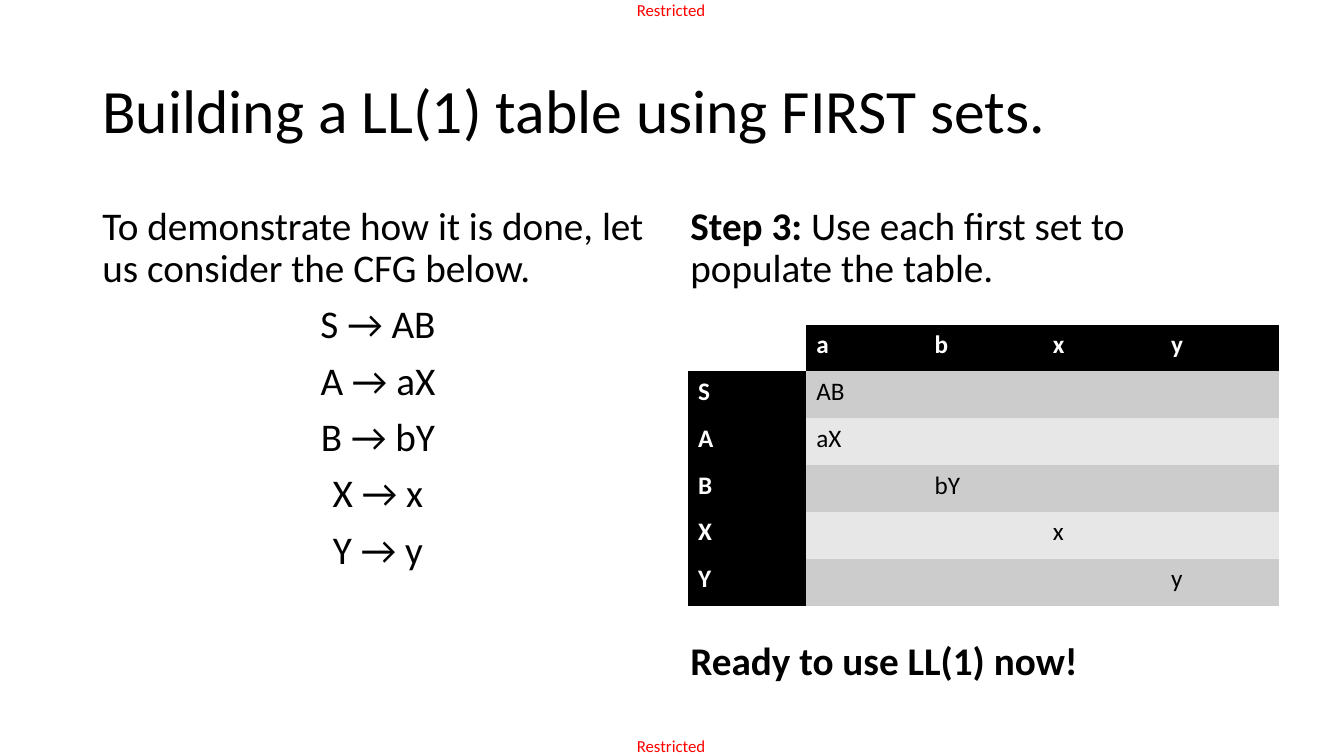
from pptx import Presentation
from pptx.dml.color import RGBColor
from pptx.enum.text import MSO_ANCHOR, MSO_AUTO_SIZE, PP_ALIGN
from pptx.util import Cm, Pt

LEFT, CENTER = PP_ALIGN.LEFT, PP_ALIGN.CENTER
TOP, MIDDLE = MSO_ANCHOR.TOP, MSO_ANCHOR.MIDDLE
FIXED = MSO_AUTO_SIZE.NONE
FONT = "Calibri"
PLAIN_STYLE = "{2D5ABB26-0587-4C30-8999-92F81FD0307C}"
COLORS = {"ink": "000000", "paper": "FFFFFF", "mark": "FF0000",
          "dark": "CCCCCC", "light": "E7E7E7"}

MARK = "Restricted"
TITLE = "Building a LL(1) table using FIRST sets."
INTRO = "To demonstrate how it is done, let us consider the CFG below."
RULES = ["S → AB", "A → aX", "B → bY", "X → x", "Y → y"]
STEP = [("Step 3: ", True), ("Use each first set to populate the table.", False)]
READY = "Ready to use LL(1) now!"
TOKENS = ["a", "b", "x", "y"]
ENTRIES = {("S", "a"): "AB", ("A", "a"): "aX", ("B", "b"): "bY",
           ("X", "x"): "x", ("Y", "y"): "y"}
HEADS = ["S", "A", "B", "X", "Y"]


def color(name):
    return RGBColor.from_string(COLORS[name])


def write(frame, text, size=28, ink="ink", bold=False, align=LEFT,
          more=False, before=0, line=0.9):
    """Write one paragraph; text is a string or a list of (words, bold)."""
    para = frame.add_paragraph() if more else frame.paragraphs[0]
    para.alignment = align
    para.line_spacing = line
    para.space_before = Pt(before)
    parts = [(text, bold)] if isinstance(text, str) else text
    for words, strong in parts:
        run = para.add_run()
        run.text = words
        font = run.font
        font.name, font.size, font.bold = FONT, Pt(size), strong
        font.color.rgb = color(ink)


def setup(frame, anchor=TOP, wrap=True):
    frame.auto_size = FIXED
    frame.word_wrap = wrap
    frame.vertical_anchor = anchor
    return frame


def add_box(slide, left, top, width, height, wrap=True):
    box = slide.shapes.add_textbox(Cm(left), Cm(top), Cm(width), Cm(height))
    return setup(box.text_frame, wrap=wrap)


def add_mark(slide, top):
    frame = add_box(slide, 16.05, top, 1.85, 0.5, wrap=False)
    frame.margin_left = frame.margin_right = 0
    frame.margin_top = frame.margin_bottom = 0
    write(frame, MARK, size=12, ink="mark", line=1.0)


def add_title(slide):
    title = slide.shapes.title
    title.left, title.top = Cm(2.33), Cm(1.01)
    title.width, title.height = Cm(29.21), Cm(3.68)
    write(setup(title.text_frame, MIDDLE), TITLE, size=44)


def add_grid(slide):
    wide, high = 2.98, 1.18
    rows, cols = len(HEADS) + 1, len(TOKENS) + 1
    frame = slide.shapes.add_table(rows, cols, Cm(17.34), Cm(8.18),
                                   Cm(wide * cols), Cm(high * rows))
    table = frame.table
    table._tbl.tblPr[0].text = PLAIN_STYLE
    for col in table.columns:
        col.width = Cm(wide)
    for row in table.rows:
        row.height = Cm(high)
    for r, head in enumerate([""] + HEADS):
        for c, token in enumerate([""] + TOKENS):
            edge = r == 0 or c == 0
            if edge:
                text = head or token
                fill = "ink" if text else "paper"
            else:
                text = ENTRIES.get((head, token), "")
                fill = "dark" if r % 2 else "light"
            cell = table.cell(r, c)
            cell.fill.solid()
            cell.fill.fore_color.rgb = color(fill)
            if text:
                write(cell.text_frame, text, size=18, bold=edge,
                      ink="paper" if edge else "ink", line=1.0)


def main():
    deck = Presentation()
    deck.slide_width, deck.slide_height = Cm(33.87), Cm(19.05)
    slide = deck.slides.add_slide(deck.slide_layouts[5])
    add_title(slide)
    for top in (0, 18.54):
        add_mark(slide, top)

    grammar = add_box(slide, 2.33, 5.07, 14.39, 12.09)
    write(grammar, INTRO)
    for rule in RULES:
        write(grammar, rule, align=CENTER, more=True, before=10)

    write(add_box(slide, 17.15, 5.07, 14.39, 2.6), STEP)
    add_grid(slide)
    write(add_box(slide, 17.15, 16.04, 14.39, 1.4), READY, bold=True)
    deck.save("out.pptx")


if __name__ == "__main__":
    main()
